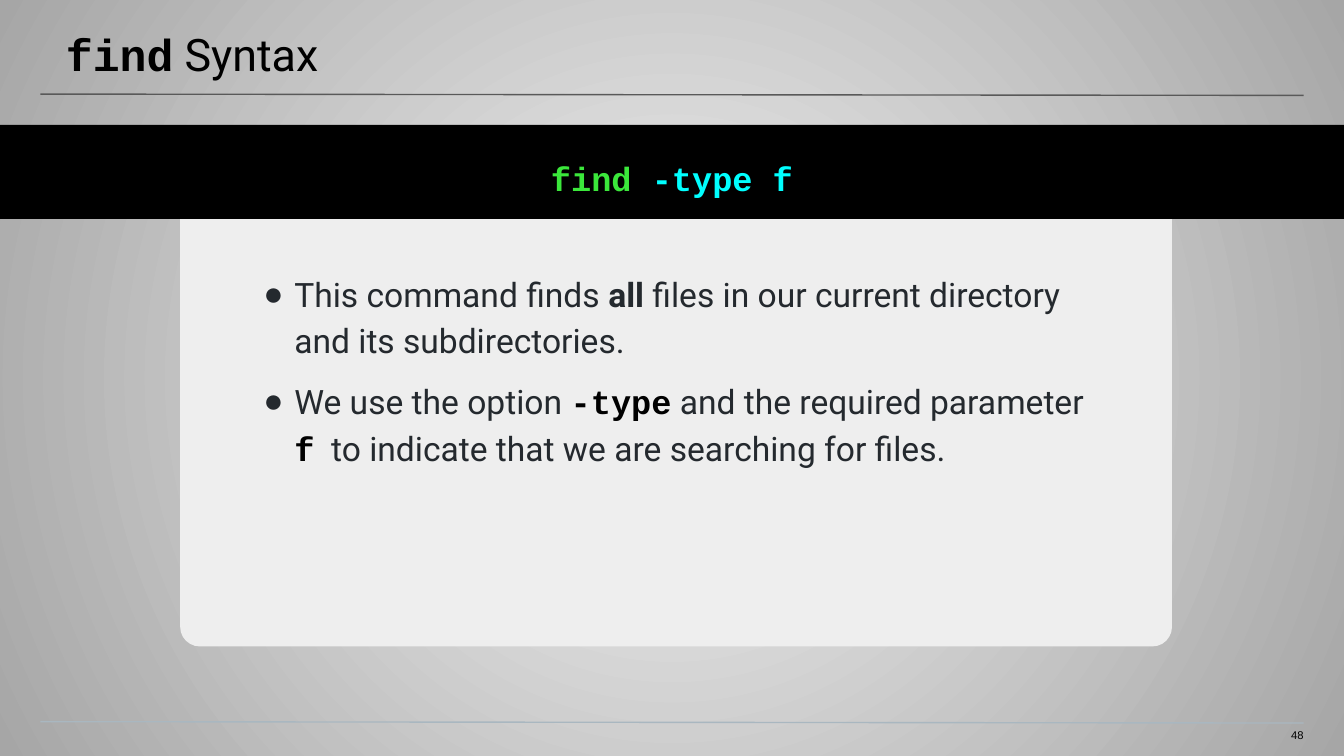
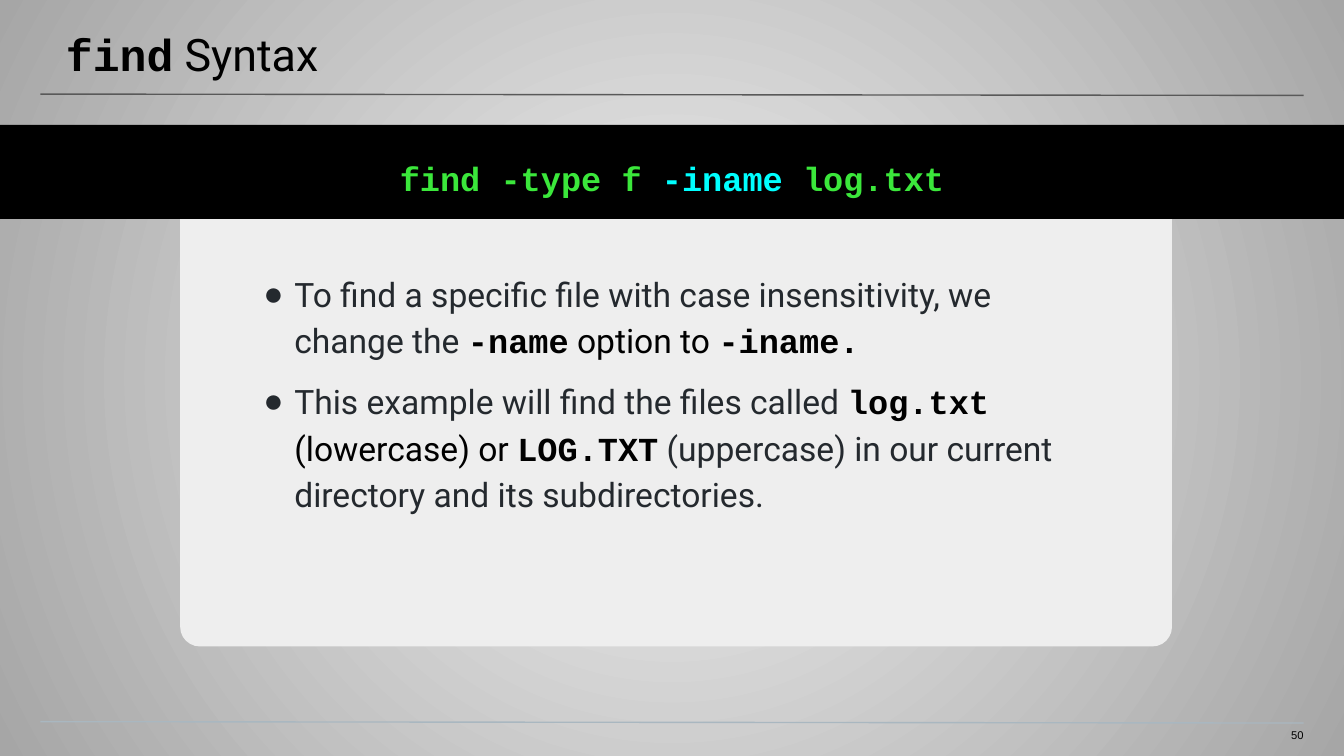
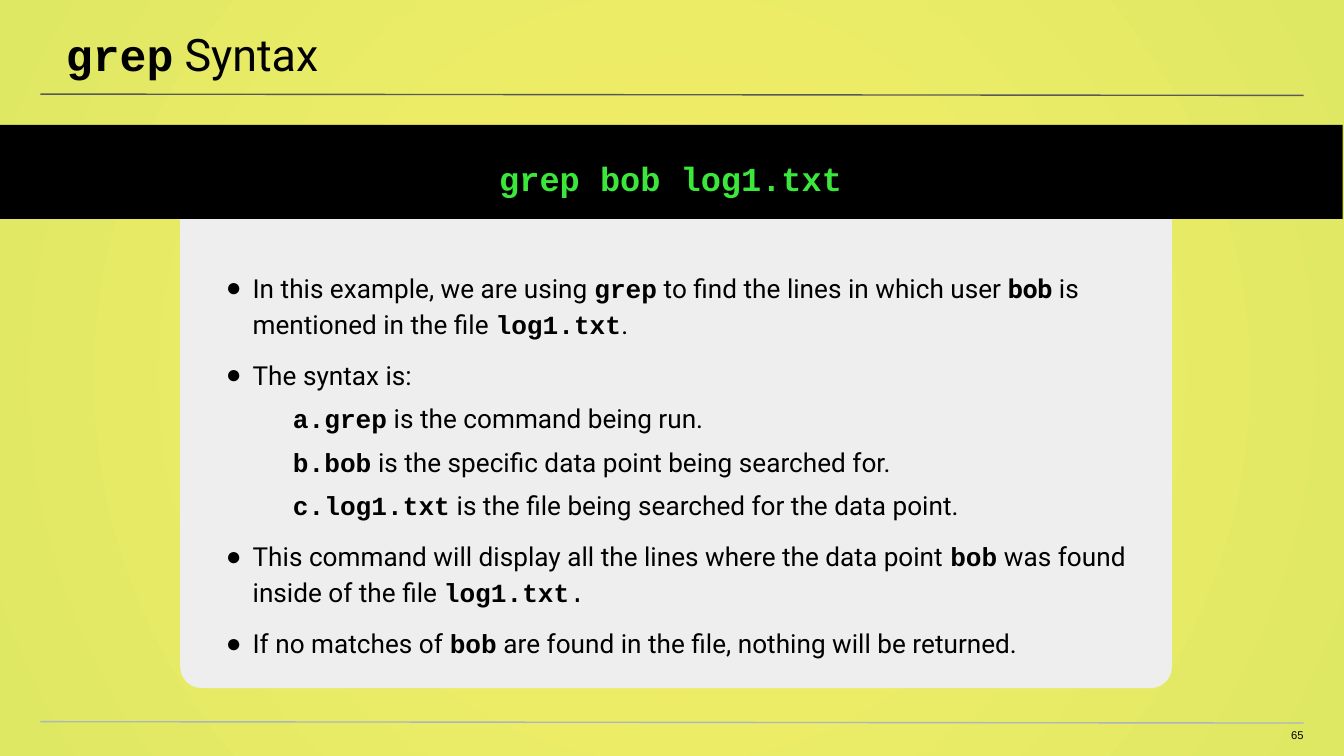
"""Build three slides on the syntax of the find and grep commands."""
from lxml import etree
from pptx import Presentation
from pptx import util as u
from pptx.dml.color import RGBColor
from pptx.enum import shapes, text
from pptx.oxml import ns, parse_xml

BLACK = RGBColor(0x00, 0x00, 0x00)
INK = RGBColor(0x24, 0x29, 0x2E)
GREEN = RGBColor(0x3B, 0xE7, 0x3B)
CYAN = RGBColor(0x00, 0xFF, 0xFF)
CARD = RGBColor(0xEE, 0xEE, 0xEE)
TITLE_RULE = RGBColor(0x59, 0x59, 0x59)
FOOTER_RULE = RGBColor(0xA9, 0xB7, 0xC0)

STYLES = {
    "ink": ("Roboto", False, INK),
    "ink bold": ("Roboto", True, INK),
    "plain": ("Roboto", False, BLACK),
    "bold": ("Roboto", True, BLACK),
    "code": ("Courier New", True, BLACK),
    "code light": ("Courier New", False, BLACK),
    "command": ("Courier New", True, GREEN),
    "option": ("Courier New", True, CYAN),
    "number": ("Arial", False, BLACK),
}

GREY_STOPS = '<a:gs pos="0"><a:srgbClr val="F2F2F2"/></a:gs><a:gs pos="100000"><a:srgbClr val="A6A6A6"/></a:gs>'
YELLOW_STOPS = ('<a:gs pos="0"><a:srgbClr val="F7EF6A"><a:alpha val="50000"/></a:srgbClr></a:gs>'
                '<a:gs pos="100000"><a:srgbClr val="DFE863"/></a:gs>')

FIND = {"stops": GREY_STOPS, "tool": "find", "band_left": 0, "card_height": 3.24,
        "size": 18, "hanging": 0.23, "bullet_color": INK, "last_after": 8}

SLIDES = [
    {**FIND, "number": "48", "body": (1.34, 1.99, 7.38, 2.41),
     "command": [("find ", "command"), ("-type f", "option")],
     "points": [
         (0, [("This command finds ", "ink"), ("all", "ink bold"),
              (" files in our current directory and its subdirectories.", "ink")]),
         (0, [("We use the option ", "ink"), ("-type", "code"),
              (" and the required parameter ", "ink"), ("f", "code"), (" ", "ink"),
              (" to indicate that we are searching for files.", "ink")]),
     ]},
    {**FIND, "number": "50", "body": (1.34, 1.99, 7.38, 1.6),
     "command": [("find -type f ", "command"), ("-iname ", "option"), ("log.txt", "command")],
     "points": [
         (0, [("To find a specific file with case insensitivity, we change the ", "ink"),
              ("-name", "code"), (" option to ", "plain"), ("-iname.", "code")]),
         (0, [("This example will find the files called ", "ink"), ("log.txt", "code"),
              (" (lowercase) or ", "plain"), ("LOG.TXT", "code"),
              (" (uppercase) in our current directory and its subdirectories.", "ink")]),
     ]},
    {"stops": YELLOW_STOPS, "tool": "grep", "band_left": -0.01, "card_height": 3.55,
     "size": 14, "hanging": 0.2, "bullet_color": BLACK, "last_after": 4,
     "number": "65", "body": (1.03, 1.99, 8.04, 3.29),
     "command": [("grep bob log1.txt", "command")],
     "points": [
         (0, [("In this example, we are using ", "plain"), ("grep", "code"),
              (" to find the lines in which user ", "plain"), ("bob", "bold"),
              (" is mentioned in the file ", "plain"), ("log1.txt", "code"), (".", "plain")]),
         (0, [("The syntax is:", "plain")]),
         (1, [("grep", "code"), (" is the command being run.", "plain")]),
         (1, [("bob", "code"), (" is the specific data point being searched for.", "plain")]),
         (1, [("log1.txt", "code"), (" is the file being searched for the data point.", "plain")]),
         (0, [("This command will display all the lines where the data point ", "plain"),
              ("bob", "code"), (" was found inside of the file ", "plain"),
              ("log1.txt", "code"), (".", "code light")]),
         (0, [("If no matches of ", "plain"), ("bob", "code"),
              (" are found in the file, nothing will be returned.", "plain")]),
     ]},
]


def place_text(shape, box, insets):
    """Position a shape and set up its text frame, returning the frame."""
    shape.left, shape.top, shape.width, shape.height = map(u.Inches, box)
    frame = shape.text_frame
    frame.word_wrap = True
    frame.auto_size = text.MSO_AUTO_SIZE.NONE
    frame.vertical_anchor = text.MSO_ANCHOR.TOP
    frame.margin_left, frame.margin_top, frame.margin_right, frame.margin_bottom = map(u.Inches, insets)
    return frame


def write_runs(paragraph, runs, size, align=text.PP_ALIGN.LEFT, spacing=1.0, before=0, after=0):
    """Format a paragraph and add its styled runs."""
    paragraph.alignment = align
    paragraph.line_spacing = spacing
    paragraph.space_before = u.Pt(before)
    paragraph.space_after = u.Pt(after)
    for words, style in runs:
        run = paragraph.add_run()
        run.text = words
        run.font.size = u.Pt(size)
        run.font.name, run.font.bold, run.font.color.rgb = STYLES[style]


presentation = Presentation()
presentation.slide_width = u.Inches(10)
presentation.slide_height = u.Inches(10 * 9 / 16)

for content in SLIDES:
    slide = presentation.slides.add_slide(presentation.slide_layouts[1])
    slide.background.fill.solid()
    solid = slide.background._cSld.find(".//" + ns.qn("a:solidFill"))
    solid.getparent().replace(solid, parse_xml(
        f'<a:gradFill {ns.nsdecls("a")} rotWithShape="1"><a:gsLst>{content["stops"]}</a:gsLst>'
        '<a:path path="circle"><a:fillToRect l="50000" t="50000" r="50000" b="50000"/></a:path>'
        '</a:gradFill>'))

    for top, color in ((0.7, TITLE_RULE), (5.37, FOOTER_RULE)):
        rule = slide.shapes.add_connector(shapes.MSO_CONNECTOR.STRAIGHT, u.Inches(0.3), u.Inches(top),
                                          u.Inches(9.7), u.Inches(top + 0.01))
        rule.line.color.rgb = color
        rule.line.width = u.Pt(0.75)
        etree.SubElement(rule._element.spPr, ns.qn("a:effectLst"))

    frame = place_text(slide.shapes.title, (-0.01, 0, 10.03, 0.58), (0.5, 0.2, 0.3, 0.1))
    write_runs(frame.paragraphs[0], [(content["tool"], "code"), (" Syntax", "plain")], 24)

    card = slide.shapes.add_shape(shapes.MSO_SHAPE.ROUND_2_SAME_RECTANGLE, u.Inches(1.34), u.Inches(1.57),
                                  u.Inches(7.38), u.Inches(content["card_height"]))
    card.rotation = 180
    card.adjustments[0] = 0.045
    card.adjustments[1] = 0
    band = slide.shapes.add_shape(shapes.MSO_SHAPE.RECTANGLE, 0, 0, 0, 0)
    for shape, color in ((card, CARD), (band, BLACK)):
        shape.shadow.inherit = False
        shape.fill.solid()
        shape.fill.fore_color.rgb = color
        shape.line.fill.background()
    frame = place_text(band, (content["band_left"], 0.93, 10, 0.7), (0.1, 0.2, 0.1, 0.2))
    write_runs(frame.paragraphs[0], content["command"], 18, text.PP_ALIGN.CENTER, 1.15)

    body = slide.placeholders[1]
    slide.shapes._spTree.append(body._element)
    frame = place_text(body, content["body"], (0.5, 0, 0.5, 1))
    points = content["points"]
    for index, (level, runs) in enumerate(points):
        paragraph = frame.add_paragraph() if index else frame.paragraphs[0]
        paragraph.level = level
        properties = paragraph._p.get_or_add_pPr()
        properties.set("marL", str(u.Inches(0.35 + 0.5 * level)))
        properties.set("indent", str(-u.Inches(content["hanging"])))
        bullet_color = etree.SubElement(properties, ns.qn("a:buClr"))
        etree.SubElement(bullet_color, ns.qn("a:srgbClr"), val=str(content["bullet_color"]))
        etree.SubElement(properties, ns.qn("a:buFont"), typeface="Courier New" if level else "Arial")
        if level:
            etree.SubElement(properties, ns.qn("a:buAutoNum"), type="alphaLcPeriod")
        else:
            etree.SubElement(properties, ns.qn("a:buChar"), char="●")
        before = (4 if level else 8) if index else 0
        after = content["last_after"] if index == len(points) - 1 else 0
        write_runs(paragraph, runs, content["size"], spacing=1.15, before=before, after=after)

    number = slide.shapes.add_textbox(0, 0, 0, 0)
    frame = place_text(number, (9.41, 5.42, 0.29, 0.12), (0, 0, 0, 0.1))
    write_runs(frame.paragraphs[0], [(content["number"], "number")], 6, text.PP_ALIGN.RIGHT)

presentation.save("out.pptx")
